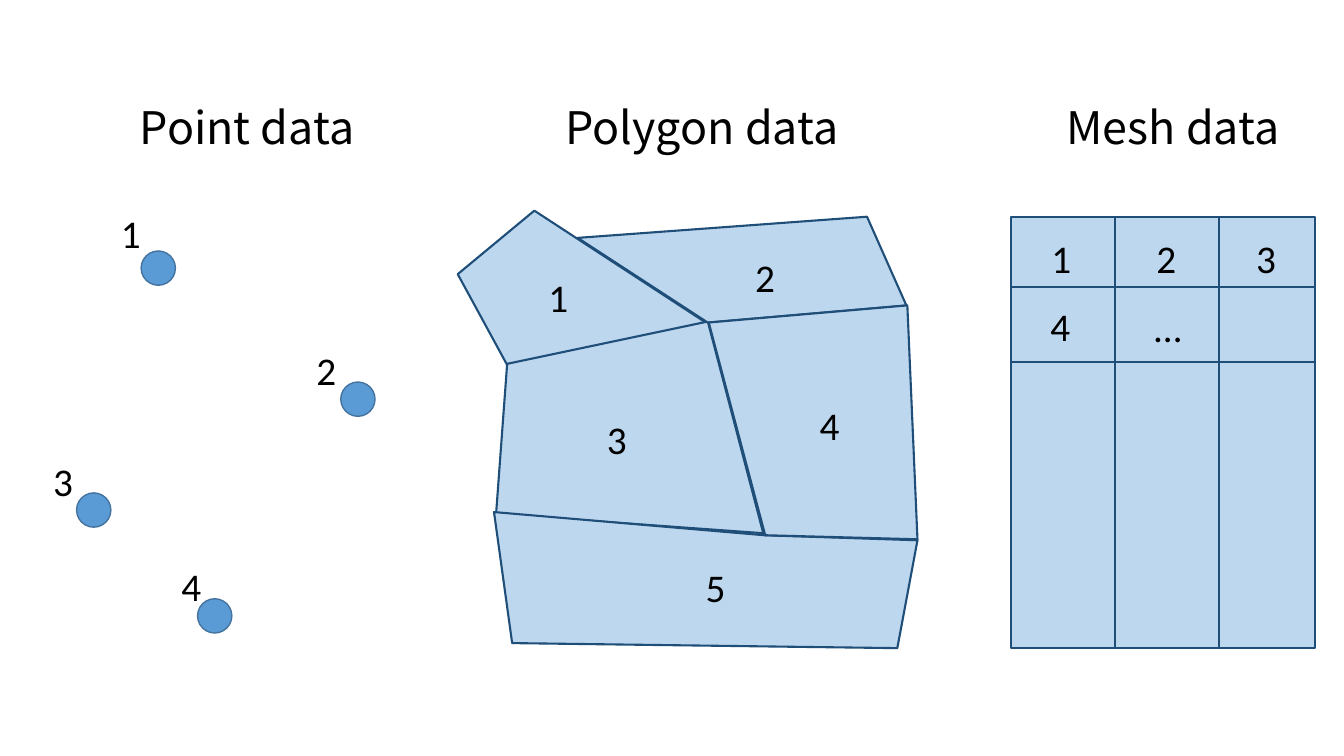
"""Build a slide comparing point, polygon and mesh data."""
from lxml import etree
from pptx import Presentation
from pptx.dml.color import RGBColor
from pptx.enum.shapes import MSO_CONNECTOR, MSO_SHAPE
from pptx.enum.text import MSO_AUTO_SIZE
from pptx.oxml.ns import qn
from pptx.util import Inches, Pt

OVAL = MSO_SHAPE.OVAL
RECTANGLE = MSO_SHAPE.RECTANGLE
STRAIGHT = MSO_CONNECTOR.STRAIGHT
GROW = MSO_AUTO_SIZE.SHAPE_TO_FIT_TEXT

BLACK = RGBColor(0x00, 0x00, 0x00)
POINT_BLUE = RGBColor(0x5B, 0x9B, 0xD5)
POINT_EDGE = RGBColor(0x43, 0x73, 0x9E)
AREA_BLUE = RGBColor(0xBD, 0xD7, 0xEE)
AREA_EDGE = RGBColor(0x1F, 0x4E, 0x79)

POINT_SIZE = 0.34
MESH_LEFT, MESH_TOP, MESH_RIGHT, MESH_BOTTOM = 10.03, 2.15, 13.04, 6.43

HEADINGS = [
    ("Point data", 1.29, 2.87),
    ("Polygon data", 5.51, 2.99),
    ("Mesh data", 10.48, 2.66),
]
POINTS = [(1.4, 2.49), (3.38, 3.79), (0.76, 4.89), (1.96, 5.94)]
POLYGONS = [
    [(5.3, 2.09), (4.54, 2.72), (5.03, 3.62), (7, 3.2)],
    [(5.03, 3.61), (4.92, 5.1), (7.57, 5.29), (7.02, 3.19)],
    [(5.73, 2.36), (8.6, 2.15), (8.99, 3.03), (7.02, 3.2)],
    [(4.9, 5.08), (5.08, 6.38), (8.9, 6.43), (9.1, 5.36), (7.58, 5.31)],
    [(9, 3.03), (9.1, 5.35), (7.59, 5.31), (7.03, 3.2)],
]
MESH_ROWS = [2.85, 3.59]
MESH_COLUMNS = [11.06, 12.09]
POINT_LABELS = [(1.1, 2.03), (3.04, 3.39), (0.43, 4.49), (1.7, 5.53)]
POLYGON_LABELS = [(5.34, 2.66), (7.39, 2.46), (5.92, 4.07), (8.03, 3.93), (6.9, 5.54)]
MESH_LABELS = [(10.33, 2.28), (11.37, 2.28), (12.36, 2.28), (10.32, 2.95), (11.35, 2.96)]


class SlidePainter:
    """Hold the slide and its style, and draw each kind of element."""

    heading_format = {"name": "Noto Sans CJK JP", "size": Pt(32)}
    label_format = {"name": "Calibri", "size": Pt(28)}

    def __init__(self, page):
        self.shapes = page.shapes

    def finish(self, shape, fill, edge, width):
        shape.shadow.inherit = False
        shape.fill.solid()
        shape.fill.fore_color.rgb = fill
        shape.line.color.rgb = edge
        shape.line.width = Pt(width)

    def preset(self, kind, left, top, width, height, fill, edge, weight):
        shape = self.shapes.add_shape(
            kind, Inches(left), Inches(top), Inches(width), Inches(height))
        self.finish(shape, fill, edge, weight)

    def polygon(self, corners):
        start, *others = [(Inches(x), Inches(y)) for x, y in corners]
        outline = self.shapes.build_freeform(*start)
        outline.add_line_segments(others, close=True)
        self.finish(outline.convert_to_shape(), AREA_BLUE, AREA_EDGE, 1.5)

    def line(self, *ends):
        connector = self.shapes.add_connector(STRAIGHT, *map(Inches, ends))
        connector.line.color.rgb = AREA_EDGE
        connector.line.width = Pt(1.5)
        properties = connector.element.find(qn("p:spPr"))
        etree.SubElement(properties, qn("a:effectLst"))

    def text(self, words, left, top, width, height, text_format):
        box = self.shapes.add_textbox(
            Inches(left), Inches(top), Inches(width), Inches(height))
        box.text_frame.word_wrap = True
        box.text_frame.auto_size = GROW
        span = box.text_frame.paragraphs[0].add_run()
        span.text = words
        span.font.color.rgb = BLACK
        for name, value in text_format.items():
            setattr(span.font, name, value)

    def heading(self, words, left, width):
        self.text(words, left, 0.94, width, 0.64, self.heading_format)

    def labels(self, words, places):
        for word, (left, top) in zip(words, places):
            self.text(word, left, top, 0.44, 0.57, self.label_format)


def main():
    deck = Presentation()
    deck.slide_width = Inches(13.33)
    deck.slide_height = Inches(7.5)
    painter = SlidePainter(deck.slides.add_slide(deck.slide_layouts[6]))

    for heading in HEADINGS:
        painter.heading(*heading)

    for left, top in POINTS:
        painter.preset(OVAL, left, top, POINT_SIZE, POINT_SIZE, POINT_BLUE, POINT_EDGE, 1)
    painter.labels("1234", POINT_LABELS)

    for corners in POLYGONS:
        painter.polygon(corners)
    painter.labels("12345", POLYGON_LABELS)

    painter.preset(RECTANGLE, MESH_LEFT, MESH_TOP, MESH_RIGHT - MESH_LEFT,
                   MESH_BOTTOM - MESH_TOP, AREA_BLUE, AREA_EDGE, 1.5)
    for y in MESH_ROWS:
        painter.line(MESH_LEFT, y, MESH_RIGHT, y)
    for x in MESH_COLUMNS:
        painter.line(x, MESH_TOP, x, MESH_BOTTOM)
    painter.labels("1234…", MESH_LABELS)

    deck.save("out.pptx")


if __name__ == "__main__":
    main()
